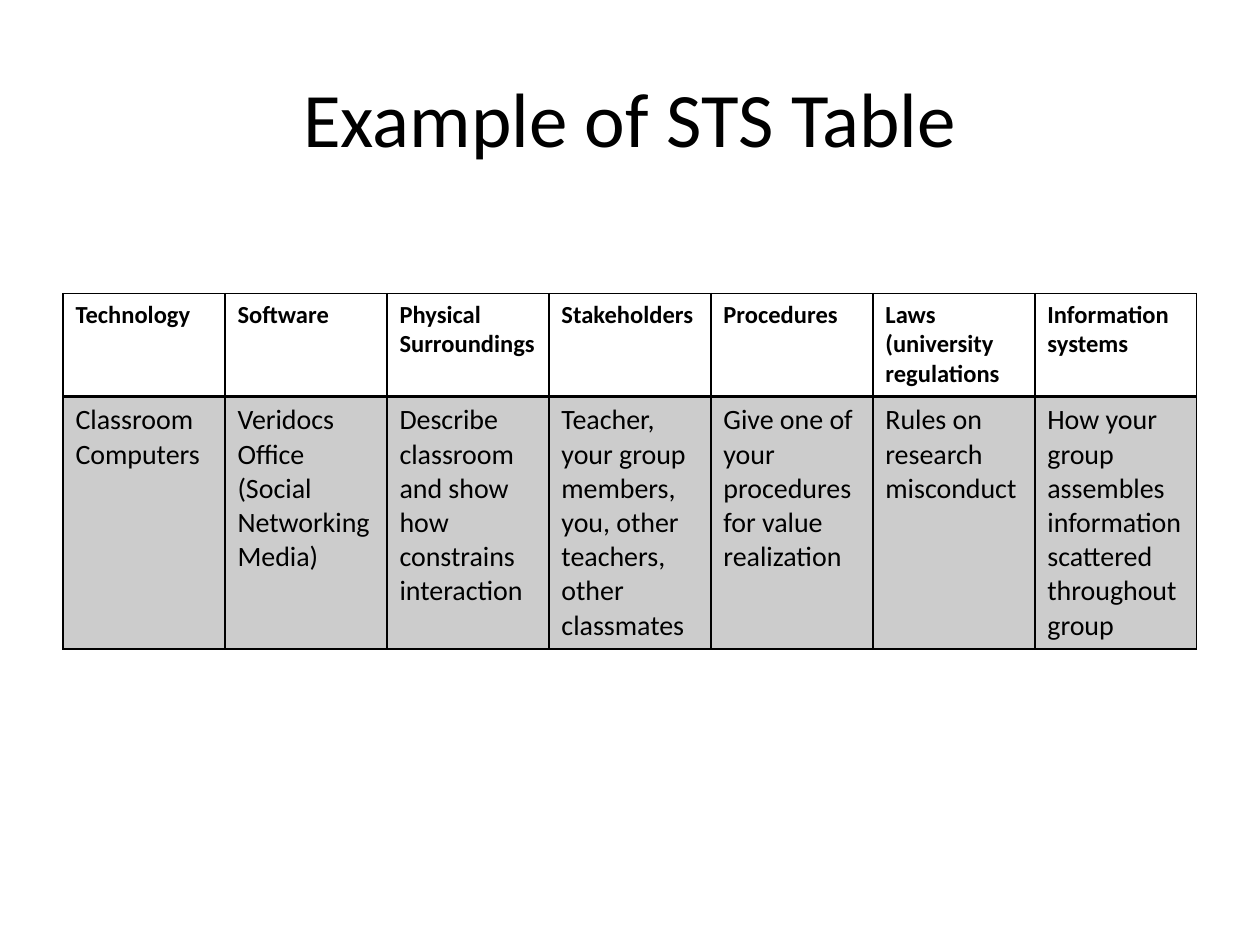
from lxml import etree
from pptx import Presentation
from pptx.dml.color import RGBColor
from pptx.enum.text import MSO_ANCHOR, PP_ALIGN
from pptx.oxml.ns import qn
from pptx.util import Inches, Pt

LEFT, CENTER = PP_ALIGN.LEFT, PP_ALIGN.CENTER
MIDDLE = MSO_ANCHOR.MIDDLE
BLACK, WHITE, GRAY = "000000", "FFFFFF", "CCCCCC"


def color(code):
    return RGBColor.from_string(code)


def write(frame, text, size, bold=False, align=LEFT):
    frame.word_wrap = True
    frame.text = text
    for para in frame.paragraphs:
        para.alignment = align
        font = para.font
        for run in para.runs:
            font = run.font
            font.name = "Calibri"
            font.size = Pt(size)
            font.bold = bold
            font.color.rgb = color(BLACK)


deck = Presentation()
deck.slide_width, deck.slide_height = Inches(10), Inches(7.5)
slide = deck.slides.add_slide(deck.slide_layouts[6])

title = slide.shapes.add_textbox(Inches(0.5), Inches(0.3), Inches(9), Inches(1.25))
title.text_frame.vertical_anchor = MIDDLE
write(title.text_frame, "Example of STS Table", size=44, align=CENTER)

heads = ["Technology", "Software", "Physical Surroundings", "Stakeholders",
         "Procedures", "Laws (university regulations", "Information systems"]
items = [
    "Classroom Computers",
    "Veridocs Office\n(Social Networking Media)",
    "Describe classroom and show how constrains interaction",
    "Teacher, your group members, you, other teachers, other classmates",
    "Give one of your procedures for value realization",
    "Rules on research misconduct",
    "How your group assembles information scattered throughout group",
]
rows = [
    dict(texts=heads, high=0.82, size=14, bold=True, fill=WHITE, top=1, base=2),
    dict(texts=items, high=2, size=16, bold=False, fill=GRAY, top=2, base=1),
]

table = slide.shapes.add_table(
    len(rows), len(heads), Inches(0.5), Inches(2.33), Inches(9), Inches(2.82)).table
for col in table.columns:
    col.width = Inches(9 / len(heads))

for r, row in enumerate(rows):
    table.rows[r].height = Inches(row["high"])
    for c, text in enumerate(row["texts"]):
        cell = table.cell(r, c)
        write(cell.text_frame, text, size=row["size"], bold=row["bold"])
        props = cell._tc.get_or_add_tcPr()
        for side, width in (("L", 1), ("R", 1), ("T", row["top"]), ("B", row["base"])):
            line = etree.SubElement(props, qn("a:ln" + side), w=str(Pt(width)))
            solid = etree.SubElement(line, qn("a:solidFill"))
            etree.SubElement(solid, qn("a:srgbClr"), val=BLACK)
        cell.fill.solid()
        cell.fill.fore_color.rgb = color(row["fill"])

deck.save("out.pptx")
